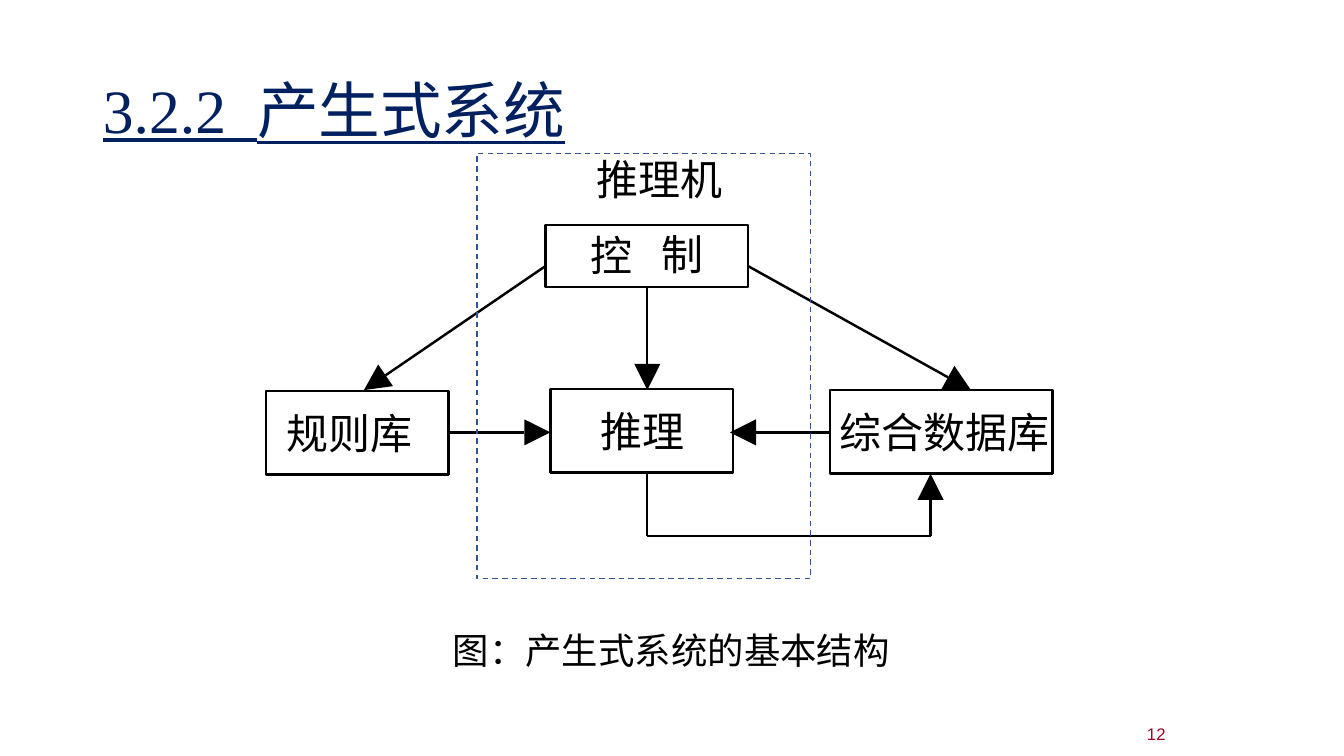
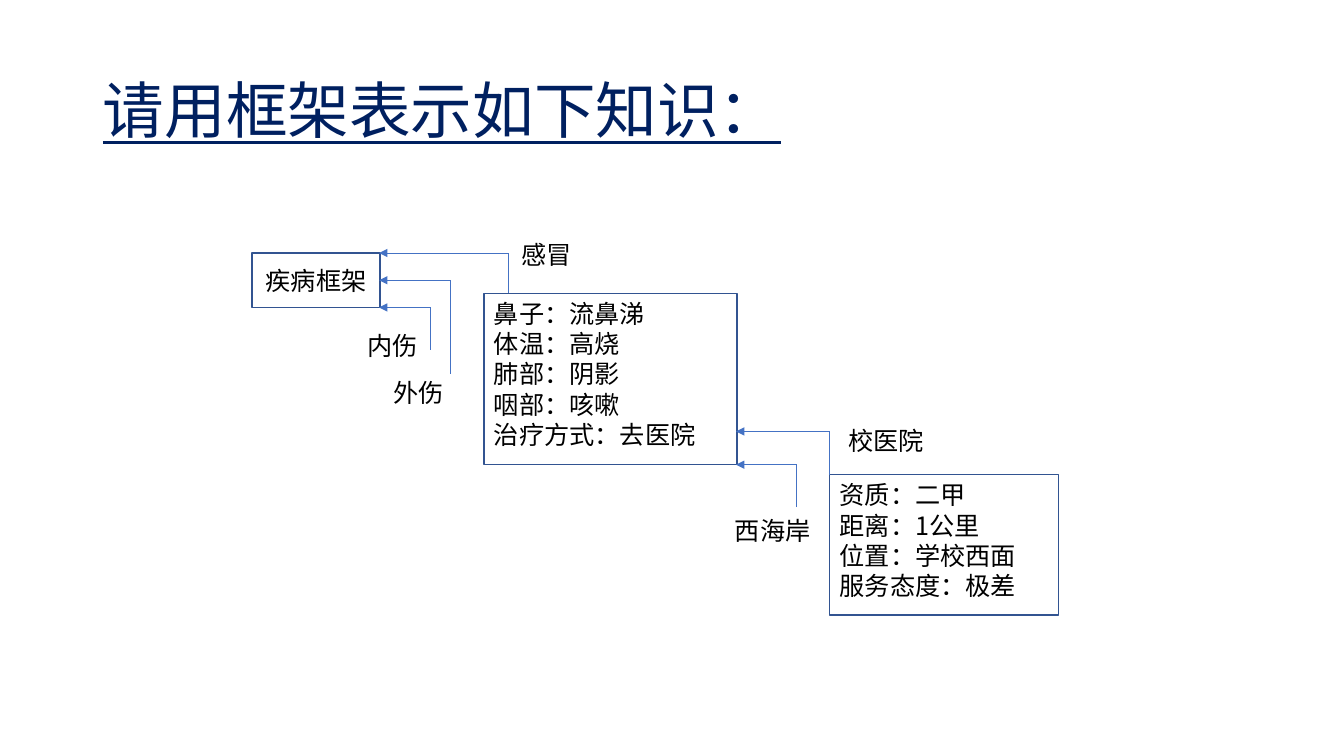
from math import hypot

from lxml import etree
from pptx import Presentation
from pptx.dml.color import RGBColor
from pptx.enum.dml import MSO_LINE
from pptx.enum.shapes import MSO_CONNECTOR, MSO_SHAPE
from pptx.enum.text import MSO_ANCHOR, MSO_AUTO_SIZE, PP_ALIGN
from pptx.oxml.ns import qn
from pptx.util import Inches, Pt

RECT = MSO_SHAPE.RECTANGLE
STRAIGHT = MSO_CONNECTOR.STRAIGHT
DASH = MSO_LINE.DASH
TOP, MIDDLE = MSO_ANCHOR.TOP, MSO_ANCHOR.MIDDLE
LEFT, CENTER, RIGHT = PP_ALIGN.LEFT, PP_ALIGN.CENTER, PP_ALIGN.RIGHT

COLORS = {"title": "002060", "ink": "000000", "page": "A50021",
          "edge": "325491", "link": "4472C4"}
HAN, ROMAN, SANS = "Noto Sans CJK SC", "Times New Roman", "Arial"
HEAD = 0.26  # length and width of a large arrowhead, inches

SYSTEM = {
    "title": "3.2.2  产生式系统",
    "page": "12",
    # text, place, left inset
    "boxes": [
        ("", (5.41, 2.23, 2.01, 0.62), 0),
        ("规则库", (2.64, 3.88, 1.81, 0.83), 0.2),
        ("推理", (5.46, 3.86, 1.81, 0.83), 0.5),
        ("综合数据库", (8.23, 3.87, 2.21, 0.83), 0.1),
    ],
    # text, place, size
    "labels": [
        ("控", (5.86, 2.28, 0.42, 0.5), 30),
        ("制", (6.56, 2.27, 0.42, 0.5), 30),
        ("推理机", (5.92, 1.52, 1.31, 0.5), 30),
        ("图：产生式系统的基本结构", (4.49, 6.23, 4.38, 0.44), 26),
    ],
    "engine": (4.73, 1.52, 3.31, 4.22),
    "arrows": [
        [(6.42, 2.84), (6.42, 3.87)],
        [(5.41, 2.64), (3.61, 3.87)],
        [(7.42, 2.64), (9.63, 3.87)],
        [(4.46, 4.29), (5.46, 4.29)],
        [(8.24, 4.29), (7.24, 4.29)],
        [(6.42, 4.7), (6.42, 5.32), (9.23, 5.32), (9.23, 4.7)],
    ],
}

FRAMES = {
    "title": "请用框架表示如下知识：",
    # lines, place, alignment, anchor
    "boxes": [
        (["疾病框架"], (2.5, 2.51, 1.27, 0.54), CENTER, MIDDLE),
        (["鼻子：流鼻涕", "体温：高烧", "肺部：阴影", "咽部：咳嗽",
          "治疗方式：去医院"], (4.8, 2.91, 2.51, 1.7), LEFT, TOP),
        (["资质：二甲", "距离：1公里", "位置：学校西面", "服务态度：极差"],
         (8.23, 4.71, 2.27, 1.39), LEFT, TOP),
    ],
    "labels": [
        ("内伤", (3.52, 3.19, 0.75, 0.47)),
        ("外伤", (3.78, 3.66, 0.75, 0.47)),
        ("感冒", (5.05, 2.29, 0.75, 0.47)),
        ("校医院", (8.25, 4.13, 1.08, 0.47)),
        ("西海岸", (7.11, 5.03, 1.11, 0.47)),
    ],
    # each arrow rises from its start, then runs left to its tip
    "arrows": [
        ((5.04, 2.91), (3.76, 2.51)),
        ((4.47, 3.71), (3.76, 2.78)),
        ((4.27, 3.47), (3.76, 3.05)),
        ((8.23, 4.71), (7.3, 4.28)),
        ((7.9, 5.03), (7.3, 4.61)),
    ],
}


def rgb(name):
    return RGBColor.from_string(COLORS[name])


def inches(values):
    return [Inches(v) for v in values]


def write(shape, lines, size=18, font=HAN, color="ink", align=LEFT,
          anchor=TOP, inset=(0.1, 0.05, 0.1, 0.05), wrap=True,
          underline=None, spacing=None):
    """Fill a shape with one paragraph per line; spacing defaults to 1.2 em."""
    frame = shape.text_frame
    frame.word_wrap = wrap
    frame.auto_size = MSO_AUTO_SIZE.NONE
    frame.vertical_anchor = anchor
    (frame.margin_left, frame.margin_top,
     frame.margin_right, frame.margin_bottom) = inches(inset)
    for i, line in enumerate(lines):
        para = frame.add_paragraph() if i else frame.paragraphs[0]
        para.alignment = align
        para.line_spacing = spacing or Pt(size * 1.2)
        run = para.add_run()
        run.text = line
        run.font.size = Pt(size)
        run.font.name = font
        run.font.underline = underline
        run.font.color.rgb = rgb(color)
        latin = run.font._element.find(qn("a:latin"))
        east = etree.Element(qn("a:ea"), typeface=HAN)
        latin.addnext(east)


def add_text(slide, place, lines, **style):
    write(slide.shapes.add_textbox(*inches(place)), lines, **style)


def add_box(slide, place, color, width, dash=None):
    box = slide.shapes.add_shape(RECT, *inches(place))
    box.shadow.inherit = False
    box.fill.background()
    box.line.color.rgb = rgb(color)
    box.line.width = Pt(width)
    if dash:
        box.line.dash_style = dash
    return box


def add_path(slide, points, color, width):
    """Join the points with straight lines and return the last one."""
    for start, end in zip(points, points[1:]):
        line = slide.shapes.add_connector(STRAIGHT, *inches(start + end))
        line.line.color.rgb = rgb(color)
        line.line.width = Pt(width)
        etree.SubElement(line._element.spPr, qn("a:effectLst"))
    return line


def add_head(slide, base, tip):
    """Draw a large solid arrowhead from the centre of its base to its tip."""
    (bx, by), (tx, ty) = base, tip
    dx, dy = (tx - bx) / 2, (ty - by) / 2
    outline = slide.shapes.build_freeform(Inches(tx), Inches(ty))
    outline.add_line_segments(
        [inches((bx - dy, by + dx)), inches((bx + dy, by - dx))], close=True)
    head = outline.convert_to_shape()
    head.shadow.inherit = False
    head.fill.solid()
    head.fill.fore_color.rgb = rgb("ink")
    head.line.fill.background()


def big_arrow(slide, points):
    (px, py), (tx, ty) = points[-2:]
    part = HEAD / hypot(tx - px, ty - py)
    base = (tx - (tx - px) * part, ty - (ty - py) * part)
    add_path(slide, points[:-1] + [base], "ink", 1.75)
    add_head(slide, base, (tx, ty))


def thin_arrow(slide, start, tip):
    line = add_path(slide, [start, (start[0], tip[1]), tip], "link", 0.5)
    etree.SubElement(line.line._get_or_add_ln(), qn("a:tailEnd"),
                     type="triangle")


def add_slide(deck, title):
    slide = deck.slides.add_slide(deck.slide_layouts[5])
    shape = slide.shapes.title
    shape.left, shape.top, shape.width, shape.height = inches(
        (0.92, 0.4, 11.5, 1.45))
    write(shape, [title], size=44, font=ROMAN, color="title",
          anchor=MIDDLE, underline=True, spacing=0.9)
    return slide


def draw_system(deck, data):
    slide = add_slide(deck, data["title"])
    add_text(slide, (9.33, 7.02, 2.33, 0.52), [data["page"]], size=12,
             font=SANS, color="page", align=RIGHT, anchor=MIDDLE)
    for text, place, inset in data["boxes"]:
        box = add_box(slide, place, "ink", 1.75)
        if text:
            write(box, [text], size=30, anchor=MIDDLE, wrap=False,
                  inset=(inset, 0, 0, 0))
    for points in data["arrows"]:
        big_arrow(slide, points)
    add_box(slide, data["engine"], "edge", 1, DASH)
    for text, place, size in data["labels"]:
        add_text(slide, place, [text], size=size, wrap=False,
                 inset=(0, 0, 0, 0))


def draw_frames(deck, data):
    slide = add_slide(deck, data["title"])
    for lines, place, align, anchor in data["boxes"]:
        write(add_box(slide, place, "edge", 1), lines,
              align=align, anchor=anchor)
    for start, tip in data["arrows"]:
        thin_arrow(slide, start, tip)
    for text, place in data["labels"]:
        add_text(slide, place, [text], align=CENTER, anchor=MIDDLE)


def main():
    deck = Presentation()
    deck.slide_width, deck.slide_height = inches((13.33, 7.5))
    draw_system(deck, SYSTEM)
    draw_frames(deck, FRAMES)
    deck.save("out.pptx")


if __name__ == "__main__":
    main()
